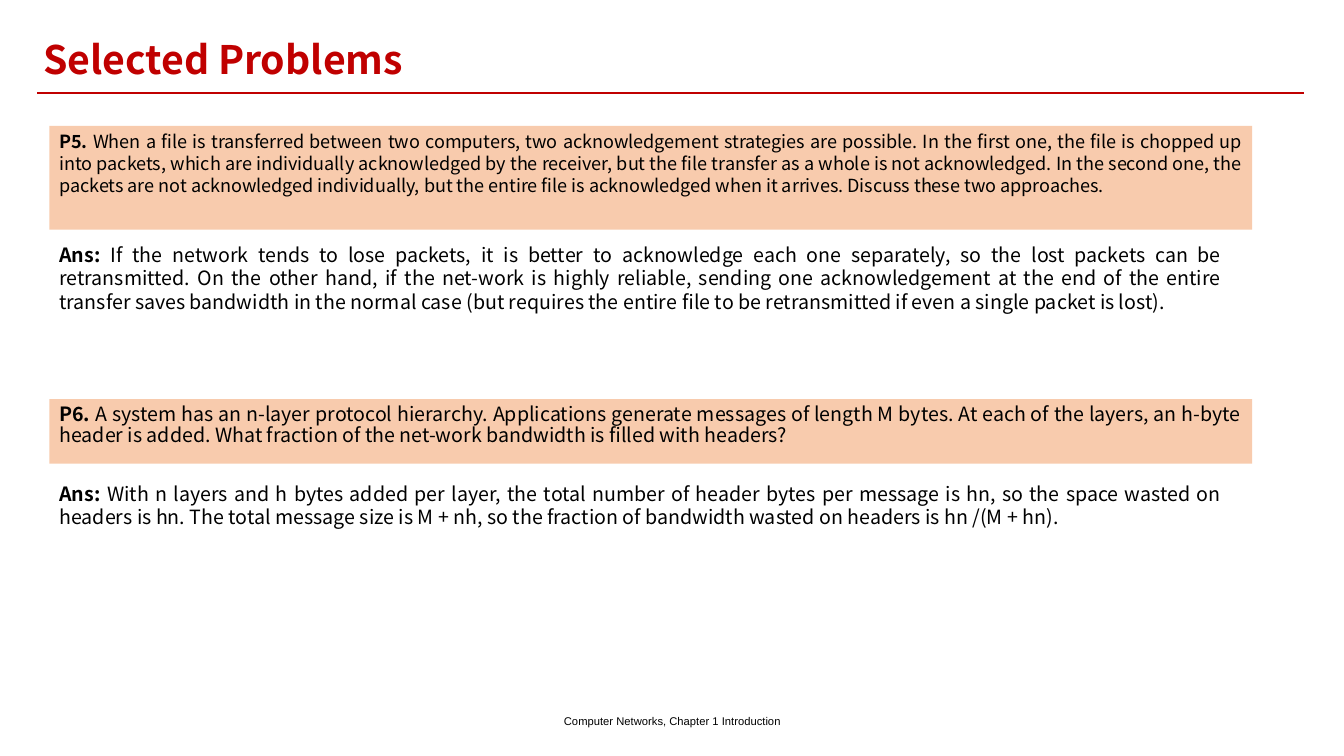
from dataclasses import dataclass

from lxml import etree
from pptx import Presentation
from pptx.dml.color import RGBColor
from pptx.enum.shapes import MSO_CONNECTOR, MSO_SHAPE
from pptx.enum.text import MSO_ANCHOR, PP_ALIGN
from pptx.oxml.ns import qn
from pptx.util import Inches, Pt

STRAIGHT = MSO_CONNECTOR.STRAIGHT
RECTANGLE = MSO_SHAPE.RECTANGLE
TOP, MIDDLE = MSO_ANCHOR.TOP, MSO_ANCHOR.MIDDLE
LEFT, CENTER, JUSTIFY = PP_ALIGN.LEFT, PP_ALIGN.CENTER, PP_ALIGN.JUSTIFY

BODY_FONT = "Noto Sans CJK SC"
RED, PEACH, BLACK, WHITE = "C00000", "F8CBAD", "000000", "FFFFFF"
MARGIN, QUESTION_WIDTH, ANSWER_WIDTH = 0.49, 11.93, 11.73


@dataclass
class TextBlock:
    left: float
    top: float
    width: float
    height: float
    label: str = ""  # bold lead-in
    text: str = ""
    size: float = 14
    font: str = BODY_FONT
    color: str = BLACK
    fill: str | None = None
    align: PP_ALIGN = JUSTIFY
    anchor: MSO_ANCHOR = TOP
    line_spacing: float = 1.0


BLOCKS = [
    # Footer and title
    TextBlock(4.42, 6.95, 4.5, 0.4, text="Computer Networks, Chapter 1 Introduction",
              size=8, font="Arial", align=CENTER, anchor=MIDDLE),
    TextBlock(0.33, 0.3, 12.81, 0.57, label="Selected Problems",
              size=28, color=RED, fill=WHITE, align=LEFT),
    # Problem 5
    TextBlock(MARGIN, 1.25, QUESTION_WIDTH, 1.03, "P5. ",
              "When a file is transferred between two computers, two acknowledgement "
              "strategies are possible. In the first one, the file is chopped up into "
              "packets, which are individually acknowledged by the receiver, but the file "
              "transfer as a whole is not acknowledged. In the second one, the packets are "
              "not acknowledged individually, but the entire file is acknowledged when it "
              "arrives. Discuss these two approaches.",
              size=12.9, fill=PEACH),
    TextBlock(MARGIN, 2.36, ANSWER_WIDTH, 0.81, "Ans: ",
              "If the network tends to lose packets, it is better to acknowledge each one "
              "separately, so the lost packets can be retransmitted. On the other hand, if "
              "the net-work is highly reliable, sending one acknowledgement at the end of "
              "the entire transfer saves bandwidth in the normal case (but requires the "
              "entire ﬁle to be retransmitted if even a single packet is lost)."),
    # Problem 6
    TextBlock(MARGIN, 3.96, QUESTION_WIDTH, 0.64, "P6. ",
              "A system has an n-layer protocol hierarchy. Applications generate messages "
              "of length M bytes. At each of the layers, an h-byte header is added. What "
              "fraction of the net-work bandwidth is filled with headers?",
              fill=PEACH, line_spacing=0.9),
    TextBlock(MARGIN, 4.73, ANSWER_WIDTH, 0.57, "Ans: ",
              "With n layers and h bytes added per layer, the total number of header bytes "
              "per message is hn, so the space wasted on headers is hn. The total message "
              "size is M + nh, so the fraction of bandwidth wasted on headers is "
              "hn /(M + hn)."),
]


def rgb(color: str) -> RGBColor:
    return RGBColor.from_string(color)


def set_attributes(target: object, values: dict) -> None:
    for name, value in values.items():
        setattr(target, name, value)


def add_title_rule(slide) -> None:
    rule = slide.shapes.add_connector(
        STRAIGHT, Inches(0.37), Inches(0.92), Inches(12.93), Inches(0.92))
    rule.line.color.rgb = rgb(RED)
    rule.line.width = Pt(1.5)
    etree.SubElement(rule.element.spPr, qn("a:effectLst"))


def add_block(slide, block: TextBlock) -> None:
    bounds = [Inches(value) for value in
              (block.left, block.top, block.width, block.height)]
    if block.fill:
        shape = slide.shapes.add_shape(RECTANGLE, *bounds)
        shape.shadow.inherit = False
        shape.fill.solid()
        shape.fill.fore_color.rgb = rgb(block.fill)
        shape.line.fill.background()
    else:
        shape = slide.shapes.add_textbox(*bounds)

    set_attributes(shape.text_frame,
                   {"word_wrap": True, "vertical_anchor": block.anchor})
    paragraph = shape.text_frame.paragraphs[0]
    set_attributes(paragraph, {"alignment": block.align,
                               "line_spacing": block.line_spacing})
    for text, bold in ((block.label, True), (block.text, False)):
        if text:
            run = paragraph.add_run()
            run.text = text
            set_attributes(run.font, {"name": block.font, "size": Pt(block.size),
                                      "bold": bold})
            run.font.color.rgb = rgb(block.color)


def main() -> None:
    presentation = Presentation()
    set_attributes(presentation, {"slide_width": Inches(13.33),
                                  "slide_height": Inches(7.5)})
    slide = presentation.slides.add_slide(presentation.slide_layouts[6])
    add_title_rule(slide)
    for block in BLOCKS:
        add_block(slide, block)
    presentation.save("out.pptx")


if __name__ == "__main__":
    main()
